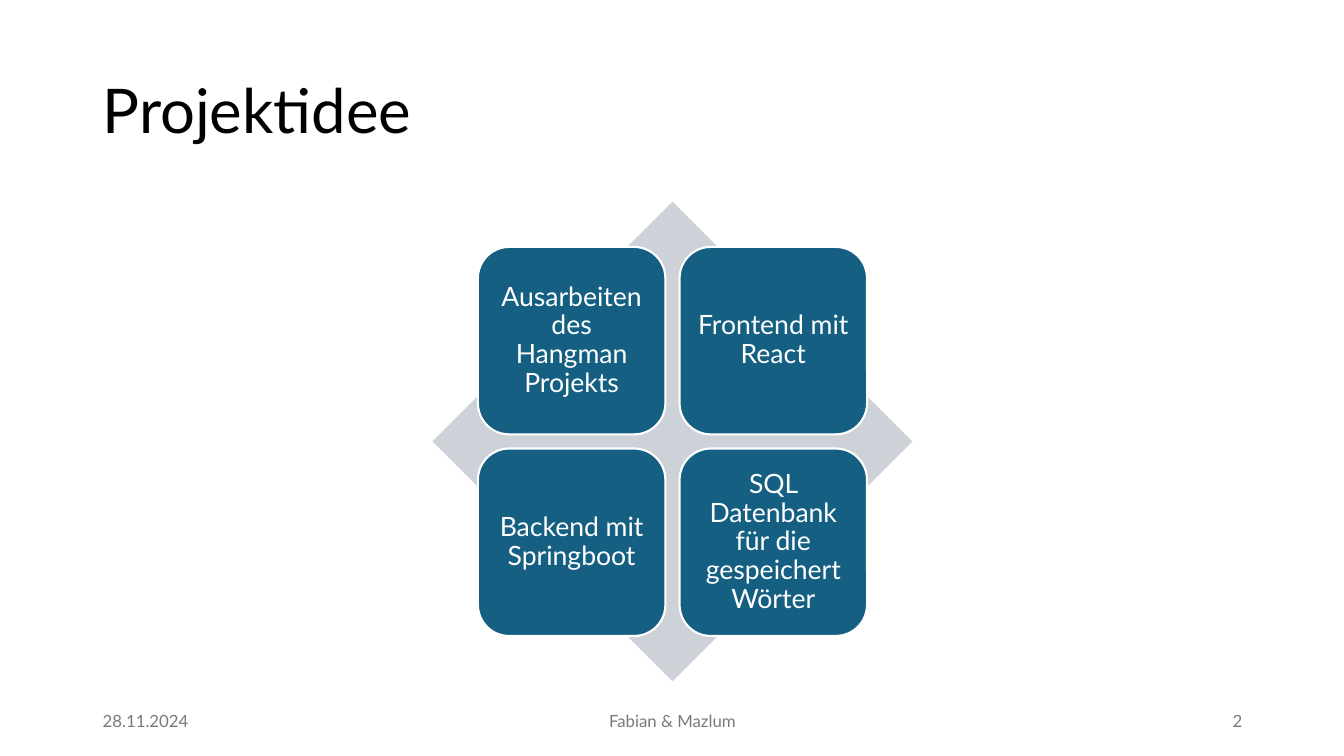
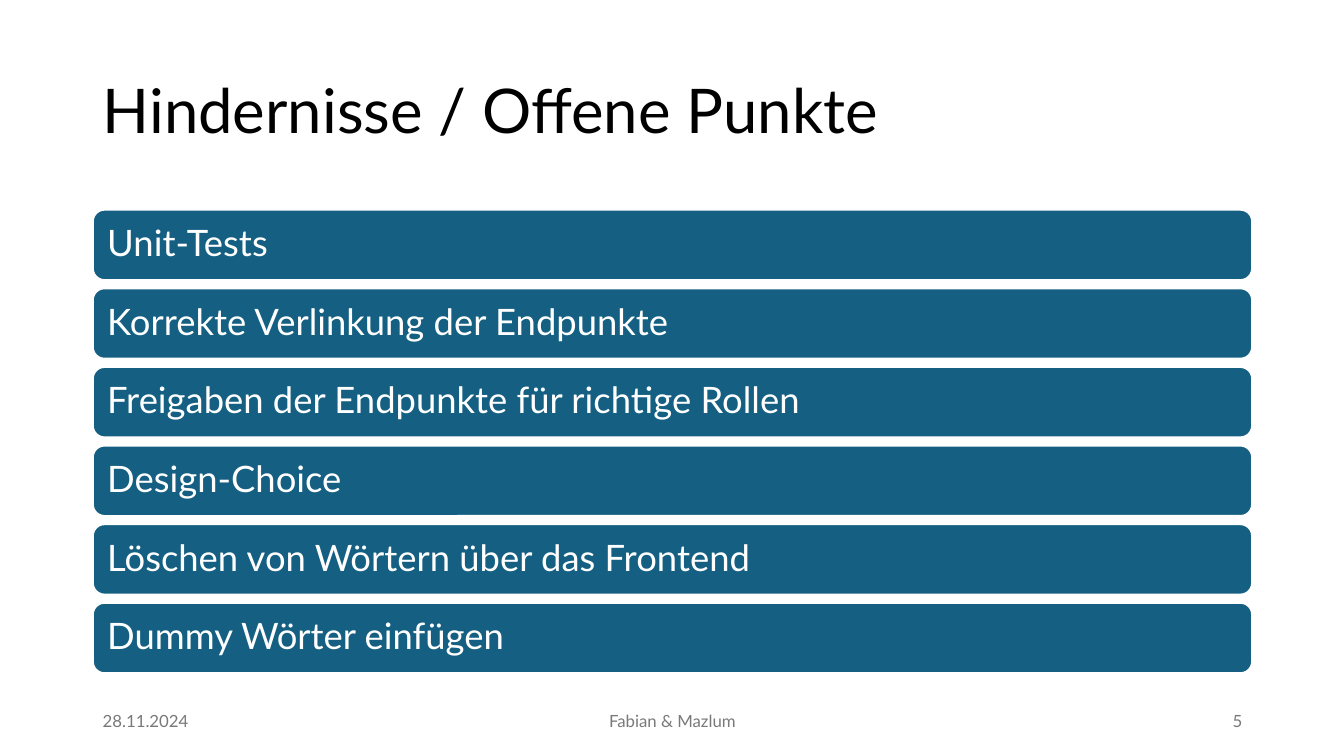
"""Build two project slides: a four-tile idea matrix and a list of open points."""
from pptx import Presentation
from pptx import util as u
from pptx.dml.color import RGBColor
from pptx.enum import shapes, text

In = u.Inches
Kind = shapes.MSO_SHAPE
Side = text.PP_ALIGN

theme = {
    "font": "Lato",
    "ink": "000000", "white": "FFFFFF", "blue": "156082",
    "pale": "CCD2D8", "gray": "797979",
    "title": 44, "tile": 19, "bar": 26, "foot": 12,
    "edge": 1.5,
}


def write(box, words, size, color, side=Side.LEFT, pad=(0.1, 0.05), lead=0.9):
    frame = box.text_frame
    across, down = In(pad[0]), In(pad[1])
    form = {"word_wrap": True, "vertical_anchor": text.MSO_ANCHOR.MIDDLE,
            "margin_left": across, "margin_right": across,
            "margin_top": down, "margin_bottom": down}
    for name, value in form.items():
        setattr(frame, name, value)
    para = frame.paragraphs[0]
    para.alignment = side
    para.line_spacing = lead
    run = para.add_run()
    run.text = words
    for name, value in {"name": theme["font"], "size": u.Pt(theme[size])}.items():
        setattr(run.font, name, value)
    run.font.color.rgb = RGBColor.from_string(theme[color])


def draw(slide, kind, place, fill, edge=None):
    shape = slide.shapes.add_shape(kind, *map(In, place))
    shape.shadow.inherit = False
    shape.fill.solid()
    shape.fill.fore_color.rgb = RGBColor.from_string(theme[fill])
    if edge:
        shape.line.color.rgb = RGBColor.from_string(theme[edge])
        shape.line.width = u.Pt(theme["edge"])
    else:
        shape.line.fill.background()
    return shape


deck = Presentation()
deck.slide_width, deck.slide_height = In(13.33), In(7.5)

pages = []
for title, number in (("Projektidee", "2"), ("Hindernisse / Offene Punkte", "5")):
    slide = deck.slides.add_slide(deck.slide_layouts[6])
    pages.append(slide)
    head = slide.shapes.add_textbox(In(0.92), In(0.4), In(11.5), In(1.45))
    write(head, title, "title", "ink")
    for left, width, words, side in (
        (0.92, 3, "28.11.2024", Side.LEFT),
        (4.42, 4.5, "Fabian & Mazlum", Side.CENTER),
        (9.42, 3, number, Side.RIGHT),
    ):
        foot = slide.shapes.add_textbox(In(left), In(6.95), In(width), In(0.4))
        write(foot, words, "foot", "gray", side, lead=1)

idea, points = pages

draw(idea, Kind.DIAMOND, (4.29, 2, 4.76, 4.76), "pale")
tiles = (
    "Ausarbeiten des Hangman Projekts",
    "Frontend mit React",
    "Backend mit Springboot",
    "SQL Datenbank für die gespeichert Wörter",
)
for index, words in enumerate(tiles):
    row, col = divmod(index, 2)
    place = (4.74 + 2 * col, 2.45 + 2 * row, 1.86, 1.86)
    tile = draw(idea, Kind.ROUNDED_RECTANGLE, place, "blue", "white")
    write(tile, words, "tile", "white", Side.CENTER, (0.08, 0.08))

bars = (
    "Unit-Tests",
    "Korrekte Verlinkung der Endpunkte",
    "Freigaben der Endpunkte für richtige Rollen",
    "Design-Choice",
    "Löschen von Wörtern über das Frontend",
    "Dummy Wörter einfügen",
)
for row, words in enumerate(bars):
    place = (0.92, 2.08 + 0.78 * row, 11.5, 0.7)
    bar = draw(points, Kind.ROUNDED_RECTANGLE, place, "blue", "white")
    write(bar, words, "bar", "white", pad=(0.11, 0.11))

deck.save("out.pptx")
